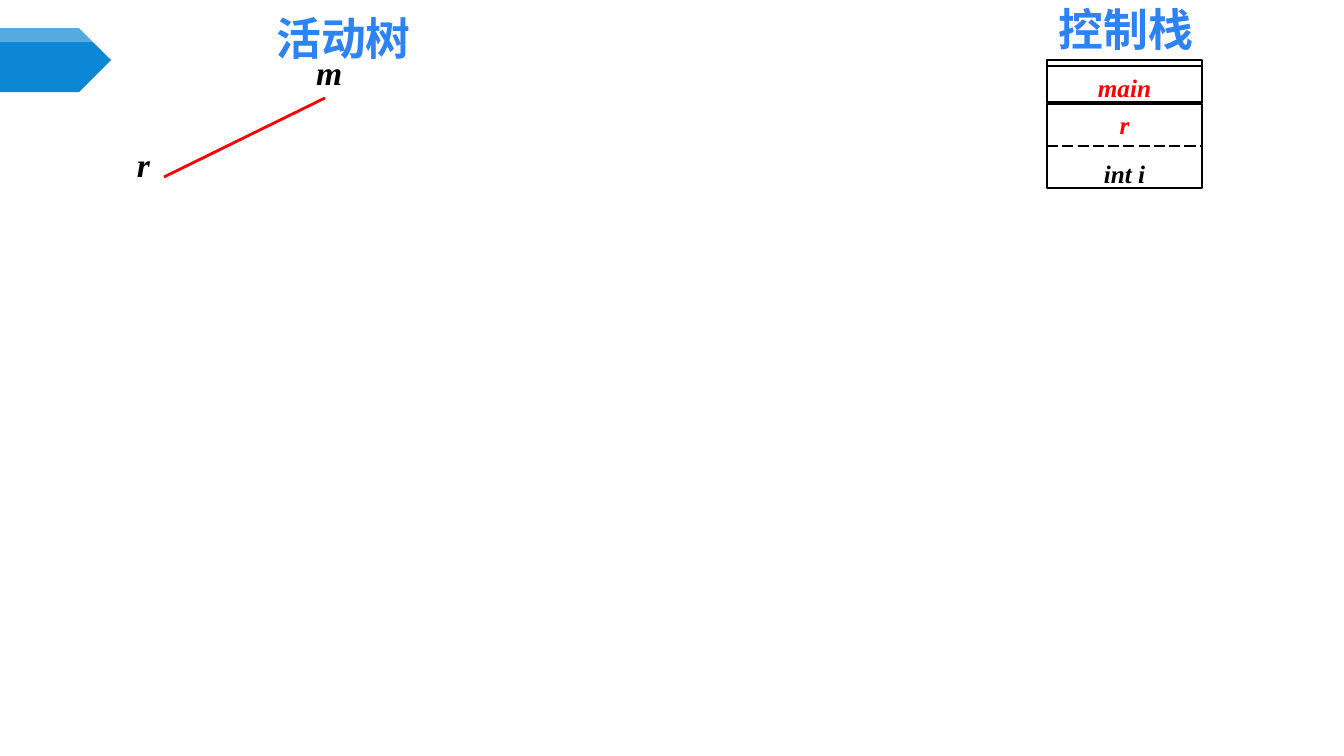
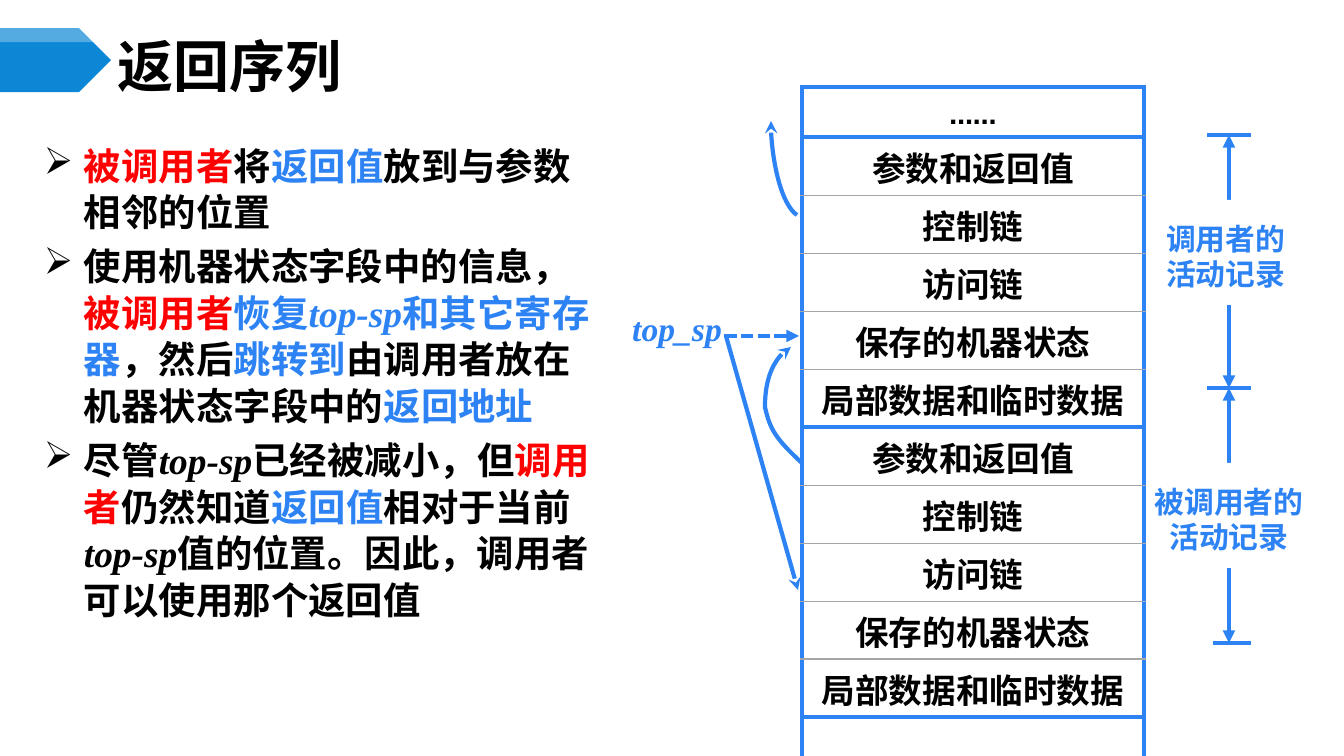
from lxml import etree
from pptx import Presentation
from pptx import util as u
from pptx.dml import color
from pptx.enum import dml, shapes, text
from pptx.oxml import ns

BLUE, RED, BLACK, WHITE, GREY = "2D83F4", "FF0000", "000000", "FFFFFF", "A6A6A6"
BANNER = "0B87D6"
SANS, SERIF, CABIN = "Noto Sans CJK SC", "Times New Roman", "Cabin"
CENTER, LEFT = text.PP_ALIGN.CENTER, text.PP_ALIGN.LEFT
TOP, MIDDLE = text.MSO_ANCHOR.TOP, text.MSO_ANCHOR.MIDDLE
RECT, PLATE = shapes.MSO_SHAPE.RECTANGLE, shapes.MSO_SHAPE.PENTAGON

RECORD = ["参数和返回值", "控制链", "访问链", "保存的机器状态", "局部数据和临时数据"]
BULLETS = [
    [("被调用者", RED), ("将", BLACK), ("返回值", BLUE), ("放到与参数相邻的位置", BLACK)],
    [("使用机器状态字段中的信息，", BLACK), ("被调用者", RED), ("恢复", BLUE),
     ("top-sp", BLUE, True), ("和其它寄存器", BLUE), ("，然后", BLACK), ("跳转到", BLUE),
     ("由调用者放在机器状态字段中的", BLACK), ("返回地址", BLUE)],
    [("尽管", BLACK), ("top-sp", BLACK, True), ("已经被减小，但", BLACK), ("调用者", RED),
     ("仍然知道", BLACK), ("返回值", BLUE), ("相对于当前", BLACK), ("top-sp", BLACK, True),
     ("值的位置。因此，调用者可以使用那个返回值", BLACK)],
]


def px(n):
    """Turn px into EMU."""
    return u.Emu(round(n * 914400 / 100.8))


def rgb(code):
    """Turn a hex string into a colour."""
    return color.RGBColor.from_string(code)


def sub(parent, tag, **attrs):
    """Append a drawing element."""
    return etree.SubElement(parent, ns.qn(tag), attrs)


def add_run(p, words, size, hue, font, italic=False, ea=SANS):
    """Add one bold run."""
    r = p.add_run()
    r.text = words
    f = r.font
    f.size, f.bold, f.italic, f.name = u.Pt(size), True, italic, font
    f.color.rgb = rgb(hue)
    sub(r._r.get_or_add_rPr(), "a:ea", typeface=ea)


def set_frame(tf, insets=(10, 5, 10, 5), anchor=TOP, wrap=True):
    """Set wrapping, anchor and insets of a text frame."""
    tf.word_wrap, tf.vertical_anchor = wrap, anchor
    tf.margin_left, tf.margin_top, tf.margin_right, tf.margin_bottom = map(px, insets)


def add_label(s, box, words, size, hue, font, align=CENTER, italic=False, **frame):
    """Add a one-run text box."""
    tf = s.shapes.add_textbox(*map(px, box)).text_frame
    set_frame(tf, **frame)
    tf.paragraphs[0].alignment = align
    add_run(tf.paragraphs[0], words, size, hue, font, italic)


def add_block(s, kind, box, fill=None, line=None):
    """Add a preset shape with a plain fill and line."""
    sp = s.shapes.add_shape(kind, *map(px, box))
    sp.shadow.inherit = False
    if fill:
        sp.fill.solid()
        sp.fill.fore_color.rgb = rgb(fill)
    else:
        sp.fill.background()
    if line:
        sp.line.color.rgb, sp.line.width = rgb(line), u.Pt(2)
    else:
        sp.line.fill.background()
    return sp


def style_line(line, hue, width, dash=None, head=None, tail=None):
    """Set colour, width, dash and arrowheads of a line."""
    line.color.rgb, line.width = rgb(hue), u.Pt(width)
    if dash:
        line.dash_style = dash
    ln = line._get_or_add_ln()
    for tag, arrow in (("a:headEnd", head), ("a:tailEnd", tail)):
        if arrow:
            sub(ln, tag, type=arrow)


def add_line(s, x1, y1, x2, y2, hue=BLUE, width=3, **style):
    """Add a straight connector."""
    c = s.shapes.add_connector(shapes.MSO_CONNECTOR.STRAIGHT, *map(px, (x1, y1, x2, y2)))
    style_line(c.line, hue, width, **style)
    sub(c._element.spPr, "a:effectLst")


def add_curve(s, start, *points):
    """Add an arrow of cubic curves, three points to each."""
    fb = s.shapes.build_freeform(px(start[0]), px(start[1]))
    fb.add_line_segments([(px(x), px(y)) for x, y in points], close=False)
    sp = fb.convert_to_shape()
    sp.shadow.inherit = False
    sp.fill.background()
    style_line(sp.line, BLUE, 3, tail="stealth")
    outline = sp._element.find(".//" + ns.qn("a:path"))
    steps = outline.findall(ns.qn("a:lnTo"))
    for i in range(0, len(steps), 3):
        cubic = sub(outline, "a:cubicBezTo")
        for step in steps[i:i + 3]:
            cubic.append(step[0])
            outline.remove(step)


def add_slide(prs):
    """Add a blank slide with the blue banner."""
    s = prs.slides.add_slide(prs.slide_layouts[6])
    add_block(s, PLATE, (0, 28, 111, 64), BANNER)
    gloss = add_block(s, PLATE, (0, 28, 111, 14), WHITE)
    sub(gloss.fill._xPr.find(".//" + ns.qn("a:srgbClr")), "a:alpha", val="30000")
    return s


def activation_tree(s, x, y):
    """Draw the tree with its heading."""
    add_line(s, x + 136, y + 92, x - 25, y + 171, RED, 2)
    for dx, dy, name in ((117, 41, "m"), (-62, 133, "r")):
        add_label(s, (x + dx, y + dy, 64, 66), name, 24, BLACK, SERIF, LEFT, True)
    add_label(s, (x, y, 309, 65), "活动树", 32, BLUE, SANS)


def control_stack(s, x, y, w):
    """Draw the control stack with its heading."""
    add_label(s, (x - 26, y - 63, 210, 65), "控制栈", 32, BLUE, SANS)
    for dy, h in ((0, 6), (6, 37), (44, 84)):
        add_block(s, RECT, (x, y + dy, w, h), line=BLACK)
    add_line(s, x, y + 86, x + w, y + 86, BLACK, 1, dash=dml.MSO_LINE.LONG_DASH)
    for dy, name, hue in ((7, "main", RED), (44, "r", RED), (93, "int i", BLACK)):
        add_label(s, (x, y + dy, w, 40), name, 18, hue, SERIF, italic=True, anchor=MIDDLE)


def bullet_list(s, box):
    """Write the bulleted text."""
    tf = s.shapes.add_textbox(*map(px, box)).text_frame
    set_frame(tf, (7, 4, 7, 4))
    for i, runs in enumerate(BULLETS):
        p = tf.add_paragraph() if i else tf.paragraphs[0]
        p.line_spacing = u.Pt(33.3)
        if i:
            p.space_before = u.Pt(5.3)
        pPr = p._p.get_or_add_pPr()
        pPr.set("marL", str(px(40)))
        pPr.set("indent", str(-px(40)))
        sub(sub(pPr, "a:buClr"), "a:srgbClr", val=BLACK)
        sub(pPr, "a:buChar", char="➢")
        for words, hue, *italic in runs:
            add_run(p, words, 26.7, hue, SERIF, bool(italic))


def set_borders(cell, **edges):
    """Draw the L, R, T and B borders of a cell, then clear its fill."""
    tcPr = cell._tc.get_or_add_tcPr()
    for side in "LRTB":
        hue, width = edges[side]
        ln = sub(tcPr, "a:ln" + side, w=str(u.Pt(width)))
        sub(sub(ln, "a:solidFill"), "a:srgbClr", val=hue)
    cell.fill.background()


def record_table(s, x, y, w):
    """Build the column of two activation records."""
    rows = ["……"] + RECORD * 2 + [""]
    tbl = s.shapes.add_table(len(rows), 1, px(x), px(y), px(w), px(58 * len(rows))).table
    tbl.first_row = tbl.horz_banding = False
    thick, thin = (BLUE, 3), (GREY, 1)
    for i, words in enumerate(rows):
        tbl.rows[i].height = px(58 if 0 < i < len(rows) - 1 else 50 if i == 0 else 30)
        cell = tbl.cell(i, 0)
        set_borders(cell, L=thick, R=thick,
                    T=thick if i == 0 or i % 5 == 1 else thin,
                    B=thick if i % 5 == 0 else thin)
        cell.margin_left = cell.margin_right = px(10)
        cell.margin_top = cell.margin_bottom = px(5)
        p = cell.text_frame.paragraphs[0]
        p.alignment = CENTER
        if words:
            add_run(p, words, 24, BLACK, CABIN, ea=SANS if i else CABIN)


def pointer_arrows(s, x, y):
    """Draw the top_sp pointer and the control links left of the table."""
    add_line(s, x - 76, y, x - 4, y + 254, tail="stealth")
    add_curve(s, (x - 5, y - 121), (x - 21, y - 132), (x - 32, y - 186), (x - 31, y - 215))
    add_curve(s, (x, y + 127), (x - 27, y + 102), (x - 32, y + 93), (x - 37, y + 71),
              (x - 37, y + 51), (x - 31, y + 22), (x - 11, y + 11))
    add_line(s, x - 78, y, x - 3, y, dash=dml.MSO_LINE.SQUARE_DOT, tail="triangle")
    add_label(s, (x - 193, y - 40, 136, 80), "top_sp", 24, BLUE, SERIF, italic=True,
              insets=(10, 12, 10, 5))


def record_spans(s, x, stops):
    """Draw the dimension lines and labels right of the table."""
    for top, bottom in zip(stops, stops[1:]):
        add_line(s, x, top, x, bottom, head="triangle", tail="triangle")
    for stop, reach in zip(stops, (22, 22, 16)):
        add_line(s, x - reach, stop, x + 22, stop)
    for words, top, w, pad in (("被调用者的活动记录", 463, 162, 0),
                               ("调用者的活动记录", 200, 155, 10)):
        sp = add_block(s, RECT, (x - 81, top, w, 105), WHITE)
        set_frame(sp.text_frame, (pad, 12, pad, 5), MIDDLE)
        p = sp.text_frame.paragraphs[0]
        p.alignment = CENTER
        add_run(p, words, 21.3, BLUE, SANS)


def main():
    """Build and save the presentation."""
    prs = Presentation()
    prs.slide_width, prs.slide_height = px(1344), px(756)

    s = add_slide(prs)
    activation_tree(s, 189, 6)
    control_stack(s, 1047, 60, 155)

    s = add_slide(prs)
    bullet_list(s, (37, 137, 567, 474))
    add_label(s, (111, 39, 1165, 53), "返回序列", 40, BLACK, SANS, LEFT,
              insets=(7, 4, 7, 4), anchor=MIDDLE)
    record_table(s, 802, 87, 342)
    pointer_arrows(s, 802, 336)
    record_spans(s, 1229, (135, 388, 643))

    prs.save("out.pptx")


if __name__ == "__main__":
    main()
